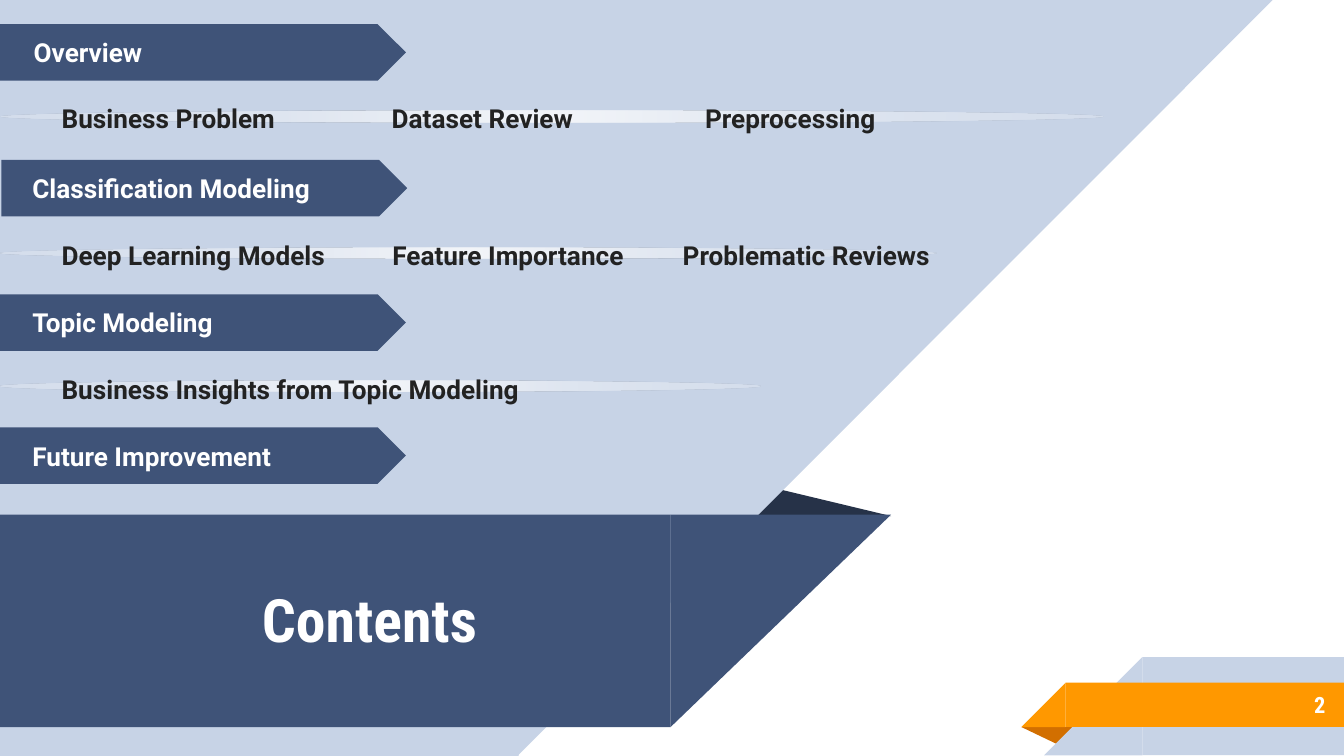
"""Build the contents slide with section arrows, topic labels and a title ribbon."""
from pptx import Presentation
from pptx.dml.color import RGBColor
from pptx.enum.shapes import MSO_SHAPE
from pptx.enum.text import MSO_ANCHOR, PP_ALIGN
from pptx.oxml import parse_xml
from pptx.oxml.ns import nsdecls, qn
from pptx.util import Inches, Pt

RECTANGLE = MSO_SHAPE.RECTANGLE
TRIANGLE = MSO_SHAPE.ISOSCELES_TRIANGLE
RIGHT_TRIANGLE = MSO_SHAPE.RIGHT_TRIANGLE
ARROW = MSO_SHAPE.PENTAGON
ELLIPSE = MSO_SHAPE.OVAL
LEFT, CENTER, RIGHT = PP_ALIGN.LEFT, PP_ALIGN.CENTER, PP_ALIGN.RIGHT
MIDDLE = MSO_ANCHOR.MIDDLE

NAVY, PALE, ORANGE, WHITE, INK = "3F5378", "C7D3E6", "FF9800", "FFFFFF", "222222"
SLIDE_WIDTH = 10
SLIDE_HEIGHT = SLIDE_WIDTH * 9 / 16

presentation = Presentation()
presentation.slide_width = Inches(SLIDE_WIDTH)
presentation.slide_height = Inches(SLIDE_HEIGHT)
slide = presentation.slides.add_slide(presentation.slide_layouts[6])


def add_shape(kind, box, color, flip=None):
    shape = slide.shapes.add_shape(kind, *[Inches(value) for value in box])
    shape.shadow.inherit = False
    shape.fill.solid()
    shape.fill.fore_color.rgb = RGBColor.from_string(color)
    shape.line.fill.background()
    if flip:
        shape.element.spPr.xfrm.set(flip, "1")
    return shape


def add_text(text, box, size, font, color, align=LEFT, wrap=True):
    text_box = slide.shapes.add_textbox(*[Inches(value) for value in box])
    frame = text_box.text_frame
    frame.word_wrap = wrap
    frame.vertical_anchor = MIDDLE
    paragraph = frame.paragraphs[0]
    paragraph.alignment = align
    run = paragraph.add_run()
    run.text = text
    run.font.size = Pt(size)
    run.font.name = font
    run.font.bold = True
    run.font.color.rgb = RGBColor.from_string(color)
    return frame


ribbon_fold = add_shape(TRIANGLE, (5.6, 3.64, 1.03, 0.2), "263248")
ribbon_fold.adjustments[0] = 0.19
add_shape(RECTANGLE, (0, 0, 3.86, SLIDE_HEIGHT), PALE)
add_shape(RIGHT_TRIANGLE, (3.85, 0, 5.62, SLIDE_HEIGHT), PALE, "flipV")
add_shape(RIGHT_TRIANGLE, (4.99, 3.83, 1.64, 1.58), NAVY, "flipV")
add_shape(RECTANGLE, (0, 3.83, 4.99, 1.58), NAVY)

number_fold = add_shape(TRIANGLE, (7.6, 5.41, 0.43, 0.14), "D26F00")
number_fold.adjustments[0] = 0.32
number_fold.rotation = 180
add_shape(RECTANGLE, (8.5, 4.89, 1.5, 0.73), PALE)
add_shape(RIGHT_TRIANGLE, (7.77, 4.89, 0.73, 0.73), PALE, "flipH")
add_shape(RECTANGLE, (7.93, 5.08, 2.07, 0.33), ORANGE)
add_shape(RIGHT_TRIANGLE, (7.6, 5.08, 0.33, 0.33), ORANGE, "flipH")

GLOW_STOPS = [(0, 79), (50, 42), (100, 24)]
stops = "".join(
    f'<a:gs pos="{position * 1000}"><a:srgbClr val="{WHITE}">'
    f'<a:alpha val="{alpha * 1000}"/></a:srgbClr></a:gs>'
    for position, alpha in GLOW_STOPS
)
GLOW_FILL = (
    f'<a:gradFill {nsdecls("a")} rotWithShape="1"><a:gsLst>{stops}</a:gsLst>'
    '<a:path path="circle"><a:fillToRect l="50000" t="50000" r="50000" b="50000"/>'
    "</a:path></a:gradFill>"
)
for top, width, height in [(2.83, 5.66, 0.08), (1.84, 6.97, 0.08), (0.82, 8.21, 0.09)]:
    glow = add_shape(ELLIPSE, (0, top, width, height), WHITE)
    properties = glow.element.spPr
    properties.replace(properties.find(qn("a:solidFill")), parse_xml(GLOW_FILL))

for text, box, size, align in [
    ("Contents", (0.51, 3.97, 4.48, 1.27), 32, CENTER),
    ("2", (8.33, 5.07, 1.63, 0.35), 12, RIGHT),
]:
    frame = add_text(text, box, size, "Roboto Condensed", WHITE, align)
    frame.margin_top = frame.margin_bottom = Inches(0.1)

sections = [
    ("Overview", 0, 0.18, 0.01),
    ("Classification Modeling", 0.01, 1.19, 0),
    ("Topic Modeling", 0, 2.19, 0),
    ("Future Improvement", 0, 3.18, 0),
]
for text, arrow_left, top, text_left in sections:
    add_shape(ARROW, (arrow_left, top, 3.02, 0.42), NAVY)
    frame = add_text(text, (text_left, top + 0.04, 2.75, 0.34), 14, "Roboto", WHITE)
    frame.margin_left = Inches(0.24)

topic_rows = [
    (0.61, [("Business Problem", 0.36, 1.81, LEFT),
            ("Dataset Review", 2.81, 1.56, CENTER),
            ("Preprocessing", 5.14, 1.48, CENTER)]),
    (1.63, [("Deep Learning Models", 0.36, 2.18, LEFT),
            ("Feature Importance", 2.79, 1.98, CENTER),
            ("Problematic Reviews", 4.97, 2.06, CENTER)]),
    (2.63, [("Business Insights from Topic Modeling", 0.36, 3.66, LEFT)]),
]
for top, topics in topic_rows:
    for text, left, width, align in topics:
        frame = add_text(text, (left, top, width, 0.42), 14, "Roboto", INK, align, False)
        frame.paragraphs[0].line_spacing = 1.5

presentation.save("out.pptx")
